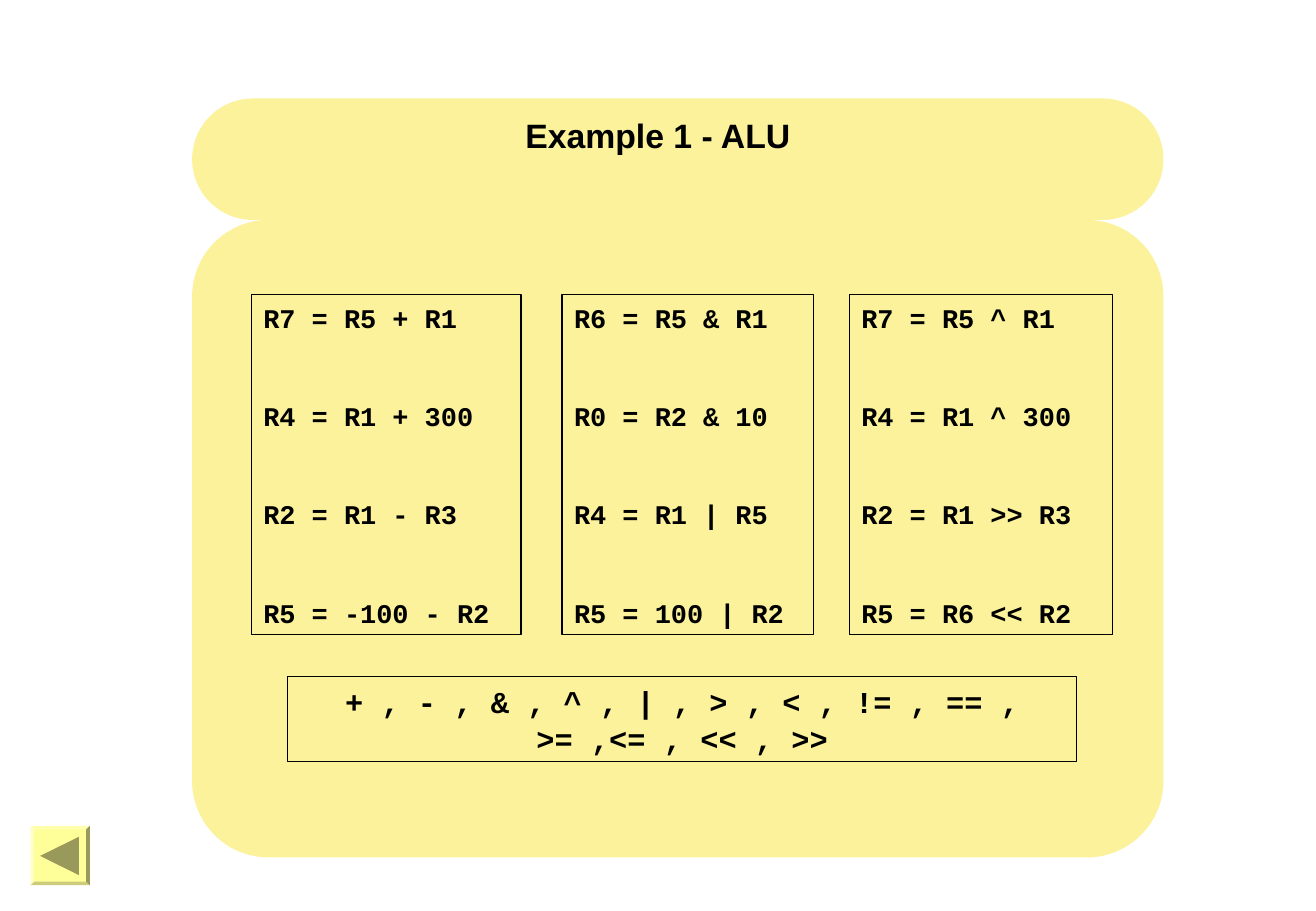
from pptx import Presentation
from pptx.dml.color import RGBColor
from pptx.enum.shapes import MSO_SHAPE
from pptx.enum.text import MSO_ANCHOR, PP_ALIGN
from pptx.util import Cm, Pt

ROUNDED = MSO_SHAPE.ROUNDED_RECTANGLE
RECTANGLE = MSO_SHAPE.RECTANGLE
BEVEL = MSO_SHAPE.BEVEL
TOP = MSO_ANCHOR.TOP
LEFT, CENTER = PP_ALIGN.LEFT, PP_ALIGN.CENTER

BLACK = RGBColor(0x00, 0x00, 0x00)
PANEL_YELLOW = RGBColor(0xFB, 0xF2, 0x9B)
BUTTON_YELLOW = RGBColor(0xFF, 0xFF, 0x99)
ARROW_OLIVE = RGBColor(0x99, 0x99, 0x5C)

PANEL_LEFT, PANEL_WIDTH = 4.02, 20.32
CODE_TOP, CODE_HEIGHT = 6.16, 7.11
CODE_COLUMNS = [
    (5.26, 5.64, ["R7 = R5 + R1", "R4 = R1 + 300", "R2 = R1 - R3", "R5 = -100 - R2"]),
    (11.76, 5.26, ["R6 = R5 & R1", "R0 = R2 & 10", "R4 = R1 | R5", "R5 = 100 | R2"]),
    (17.77, 5.51, ["R7 = R5 ^ R1", "R4 = R1 ^ 300", "R2 = R1 >> R3", "R5 = R6 << R2"]),
]
OPERATORS = "+ , - , & , ^ , | , > , < , != , == , >= ,<= , << , >>"


def write_text(shape, lines, font="Courier New", size=16, align=LEFT, gap=0,
               side_inset=0.25):
    """Fill a shape with bold black paragraphs, gap points apart."""
    frame = shape.text_frame
    frame.word_wrap = True
    frame.vertical_anchor = TOP
    frame.margin_left = frame.margin_right = Cm(side_inset)
    frame.margin_top = frame.margin_bottom = Cm(0.14)
    for index, line in enumerate(lines):
        paragraph = frame.add_paragraph() if index else frame.paragraphs[0]
        paragraph.alignment = align
        paragraph.space_before = Pt(gap if index else 0)
        run = paragraph.add_run()
        run.text = line
        run.font.name, run.font.size = font, Pt(size)
        run.font.bold = True
        run.font.color.rgb = BLACK


class AluSlide:
    def __init__(self, presentation):
        self.slide = presentation.slides.add_slide(presentation.slide_layouts[6])
        self.shapes = self.slide.shapes

    def style(self, shape, fill=None, line=None):
        shape.shadow.inherit = False
        if fill is None:
            shape.fill.background()
        else:
            shape.fill.solid()
            shape.fill.fore_color.rgb = fill
        if line is None:
            shape.line.fill.background()
        else:
            shape.line.color.rgb = line
            shape.line.width = Pt(0.75)
        return shape

    def block(self, kind, left, top, width, height, adjustment=None, **colors):
        shape = self.shapes.add_shape(kind, Cm(left), Cm(top), Cm(width), Cm(height))
        if adjustment is not None:
            shape.adjustments[0] = adjustment
        return self.style(shape, **colors)

    def title(self, text, left, top, width, height):
        box = self.shapes.add_textbox(Cm(left), Cm(top), Cm(width), Cm(height))
        write_text(box, [text], font="Arial", size=20, align=CENTER)

    def framed_text(self, lines, left, top, width, height, **text_format):
        frame = self.block(RECTANGLE, left, top, width, height, line=BLACK)
        write_text(frame, lines, **text_format)

    def polygon(self, points, fill):
        start, *others = [(Cm(x), Cm(y)) for x, y in points]
        builder = self.shapes.build_freeform(*start)
        builder.add_line_segments(others, close=True)
        self.style(builder.convert_to_shape(), fill=fill)


def main():
    presentation = Presentation()
    presentation.slide_width, presentation.slide_height = Cm(27.53), Cm(19.05)
    page = AluSlide(presentation)

    # Background panels
    page.block(ROUNDED, PANEL_LEFT, 2.06, PANEL_WIDTH, 2.54, 0.5, fill=PANEL_YELLOW)
    page.block(ROUNDED, PANEL_LEFT, 4.6, PANEL_WIDTH, 13.33, 0.12, fill=PANEL_YELLOW)

    # Title
    page.title("Example 1 - ALU", 0, 2.27, 27.53, 1.12)

    # Instruction examples
    for left, width, instructions in CODE_COLUMNS:
        page.framed_text(instructions, left, CODE_TOP, width, CODE_HEIGHT, gap=39.1)

    # Operator list
    page.framed_text([OPERATORS], 6.02, 14.15, 16.5, 1.78, size=18, align=CENTER,
                     side_inset=0.8)

    # Back button
    page.block(BEVEL, 0.64, 17.27, 1.24, 1.24, 0.06, fill=BUTTON_YELLOW)
    page.polygon([(0.84, 17.9), (1.65, 17.5), (1.65, 18.3)], fill=ARROW_OLIVE)

    presentation.save("out.pptx")


if __name__ == "__main__":
    main()
